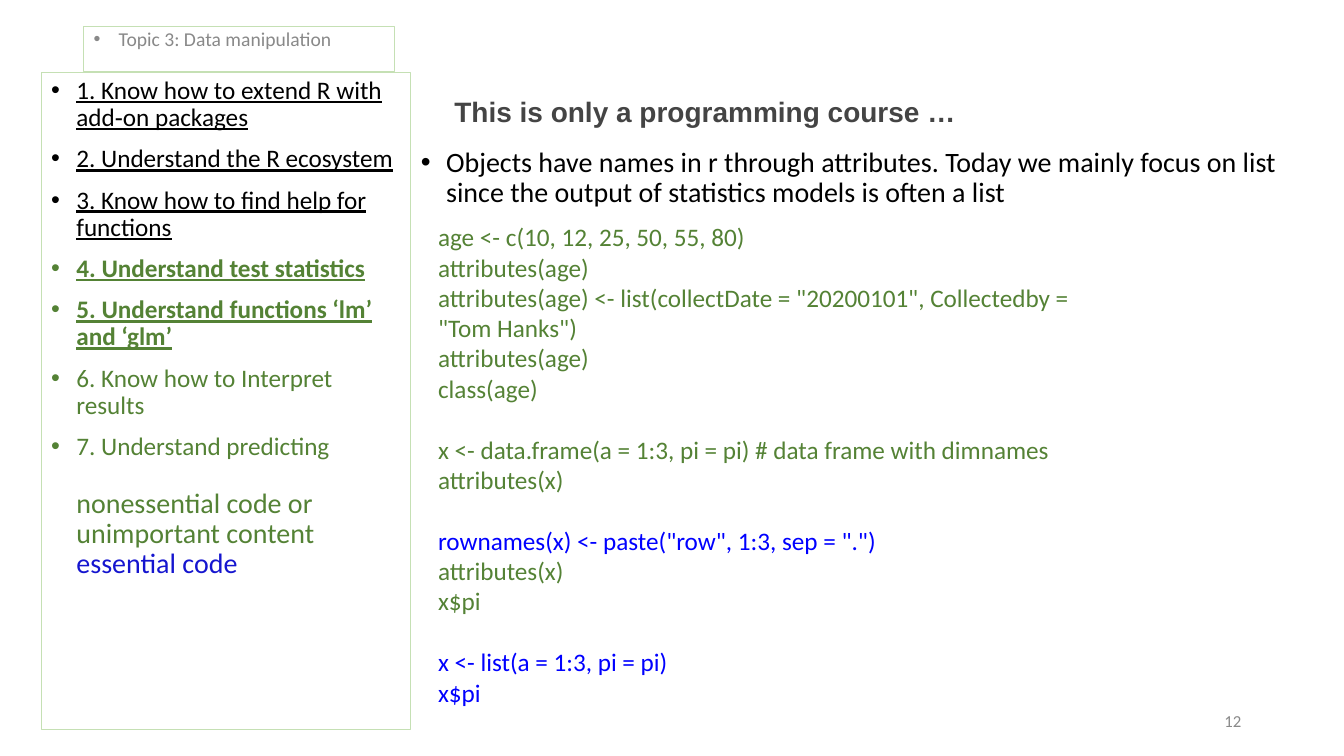
from dataclasses import dataclass

from lxml import etree
from pptx import Presentation
from pptx import util as u
from pptx.dml.color import RGBColor
from pptx.enum import shapes, text
from pptx.oxml import ns

In, Pt = u.Inches, u.Pt


@dataclass(frozen=True)
class Theme:
    body: str = "Calibri"
    head: str = "Arial"
    black: str = "000000"
    dark: str = "444444"
    gray: str = "898989"
    green: str = "548235"
    blue: str = "0000FF"
    navy: str = "1515CF"
    edge: str = "C5E0B4"
    big: int = 20
    mid: int = 18
    tag: int = 14
    small: int = 12
    gap: int = 10


T = Theme()

GOALS = [
    ("1. Know how to extend R with add‐on packages", T.black, False, True),
    ("2. Understand the R ecosystem", T.black, False, True),
    ("3. Know how to find help for functions", T.black, False, True),
    ("4. Understand test statistics", T.green, True, True),
    ("5. Understand functions ‘lm’ and ‘glm’", T.green, True, True),
    ("6. Know how to Interpret results", T.green, False, False),
    ("7. Understand predicting", T.green, False, False),
]

KEY = [
    ("nonessential code or unimportant content", T.green, 20),
    ("essential code", T.navy, 0),
]

# Each block of code is set apart by one line of space
CODE = [
    [("age <- c(10, 12, 25, 50, 55, 80)", T.green),
     ("attributes(age)", T.green),
     ('attributes(age) <- list(collectDate = "20200101", Collectedby = "Tom Hanks")',
      T.green),
     ("attributes(age)", T.green),
     ("class(age)", T.green)],
    [("x <- data.frame(a = 1:3, pi = pi) # data frame with dimnames", T.green),
     ("attributes(x)", T.green)],
    [('rownames(x) <- paste("row", 1:3, sep = ".")', T.blue),
     ("attributes(x)", T.green),
     ("x$pi", T.green)],
    [("x <- list(a = 1:3, pi = pi)", T.blue),
     ("x$pi", T.blue)],
]


def assign(item, vals):
    for name, val in vals.items():
        setattr(item, name, val)


def place(shape, box):
    assign(shape, dict(zip(("left", "top", "width", "height"), map(In, box))))


def frame(shape, anchor=text.MSO_ANCHOR.TOP):
    tf = shape.text_frame
    assign(tf, dict(word_wrap=True, auto_size=text.MSO_AUTO_SIZE.NONE,
                    vertical_anchor=anchor, margin_left=In(0.1),
                    margin_right=In(0.1), margin_top=In(0.05),
                    margin_bottom=In(0.05)))
    return tf


def bullet(para, color):
    ppr = para._p.get_or_add_pPr()
    clr = etree.SubElement(ppr, ns.qn("a:buClr"))
    etree.SubElement(clr, ns.qn("a:srgbClr"), val=color)
    etree.SubElement(ppr, ns.qn("a:buFont"), typeface="Arial")
    etree.SubElement(ppr, ns.qn("a:buChar"), char="•")


def write(tf, words, color, size, before=0, lead=1.0, mark=False, hang=False,
          align=text.PP_ALIGN.LEFT, name=T.body, **style):
    """Fill the empty first paragraph, or add one below."""
    first = not tf.paragraphs[0].runs
    para = tf.paragraphs[0] if first else tf.add_paragraph()
    if mark:
        bullet(para, color)
    if mark or hang:
        ppr = para._p.get_or_add_pPr()
        ppr.set("marL", str(In(0.25)))
        ppr.set("indent", str(In(-0.25) if mark else 0))
    assign(para, dict(alignment=align, line_spacing=lead,
                      space_before=Pt(0 if first else before)))
    run = para.add_run()
    run.text = words
    assign(run.font, dict(name=name, size=Pt(size), **style))
    run.font.color.rgb = RGBColor.from_string(color)


def panel(slide, box):
    rect = slide.shapes.add_shape(shapes.MSO_SHAPE.RECTANGLE, *map(In, box))
    rect.shadow.inherit = False
    rect.fill.background()
    rect.line.color.rgb = RGBColor.from_string(T.edge)
    rect.line.width = Pt(0.75)
    return frame(rect)


def label(slide, box, anchor=text.MSO_ANCHOR.TOP):
    return frame(slide.shapes.add_textbox(*map(In, box)), anchor)


def heading(slide, box):
    title = slide.shapes.title
    place(title, box)
    write(frame(title, text.MSO_ANCHOR.MIDDLE),
          "This is only a programming course …", T.dark, T.big,
          lead=0.9, name=T.head, bold=True)


def sidebar(slide, box):
    x, y, w, h = box
    # Topic tab on top of the panel
    write(panel(slide, (x + 0.42, y - 0.46, w - 0.58, 0.45)),
          "Topic 3: Data manipulation", T.gray, T.tag, lead=0.8, mark=True)
    # Goals, then the colour key
    tf = panel(slide, box)
    for words, color, bold, under in GOALS:
        write(tf, words, color, T.mid, T.gap, 0.9, mark=True,
              bold=bold, underline=under)
    for words, color, gap in KEY:
        write(tf, words, color, T.big, gap, 0.9, hang=True)


def content(slide, box):
    x, y, w, h = box
    # Lead statement
    write(label(slide, (x, y, w, 0.73)),
          "Objects have names in r through attributes. Today we mainly focus "
          "on list since the output of statistics models is often a list",
          T.black, T.big, lead=0.9, mark=True)
    # Code listing
    tf = label(slide, (x + 0.17, y + 0.73, 6.67, h - 0.73))
    for block in CODE:
        for i, (line, color) in enumerate(block):
            write(tf, line, color, T.mid, 0 if i else 22)


def footer(slide, box):
    write(label(slide, box, text.MSO_ANCHOR.MIDDLE), "12", T.gray, T.small,
          align=text.PP_ALIGN.RIGHT)


def main():
    prs = Presentation()
    assign(prs, dict(slide_width=In(13.34), slide_height=In(7.5)))
    slide = prs.slides.add_slide(prs.slide_layouts[5])
    heading(slide, (4.41, 0.4, 8, 1.45))
    sidebar(slide, (0.41, 0.72, 3.67, 6.52))
    content(slide, (4.08, 1.42, 8.7, 5.63))
    footer(slide, (9.42, 6.95, 3, 0.4))
    prs.save("out.pptx")


if __name__ == "__main__":
    main()
